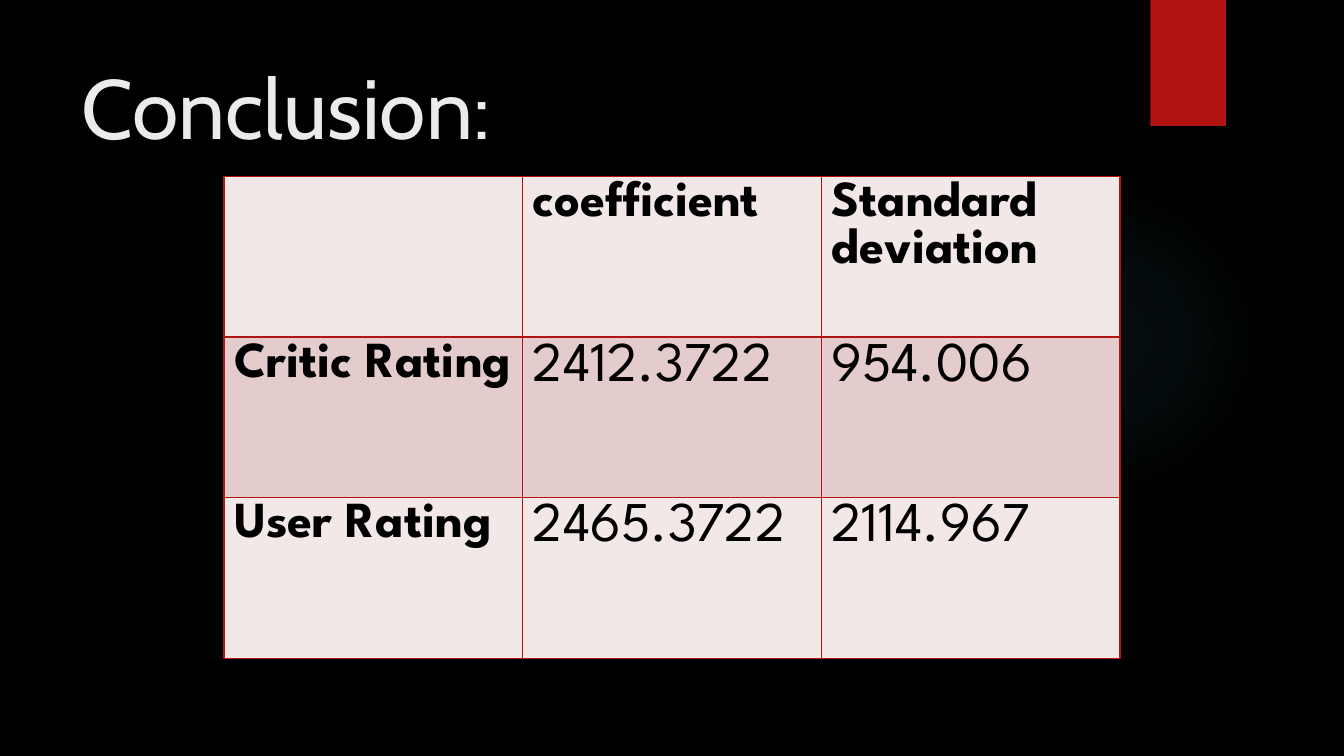
import lxml.etree
import pptx
import pptx.dml.color
import pptx.enum.shapes
import pptx.enum.text
import pptx.oxml
import pptx.oxml.ns
import pptx.util

WIDTH = 13.33
HEIGHT = 7.5
RED = "B01513"
GLOW = "50B9C1"
ROW_FILLS = ["F2E8E7", "E4CCCC"]
RATINGS = [
    ["", "coefficient", "Standard\ndeviation"],
    ["Critic Rating", "2412.3722", "954.006"],
    ["User Rating", "2465.3722", "2114.967"],
]


def color(value):
    return pptx.dml.color.RGBColor.from_string(value)


def box(left, top, width, height):
    return [pptx.util.Inches(length) for length in (left, top, width, height)]


def format_text(text_frame, font_name, size, value, bold=False):
    for paragraph in text_frame.paragraphs:
        for run in paragraph.runs:
            run.font.name = font_name
            run.font.size = pptx.util.Pt(size)
            run.font.bold = bold
            run.font.color.rgb = color(value)


def add_plain_shape(slide, kind, bounds):
    shape = slide.shapes.add_shape(kind, *box(*bounds))
    shape.shadow.inherit = False
    shape.line.fill.background()
    return shape


def add_glow(slide, bounds, value, stops):
    shape = add_plain_shape(slide, pptx.enum.shapes.MSO_SHAPE.OVAL, bounds)
    shape.fill.background()
    stop_xml = "".join(
        f'<a:gs pos="{position * 1000}"><a:srgbClr val="{value}">'
        f'<a:alpha val="{opacity * 1000}"/></a:srgbClr></a:gs>'
        for position, opacity in stops
    )
    gradient = pptx.oxml.parse_xml(
        f'<a:gradFill {pptx.oxml.ns.nsdecls("a")}><a:gsLst>{stop_xml}</a:gsLst>'
        '<a:path path="circle"><a:fillToRect l="50000" t="50000" r="50000" b="50000"/>'
        "</a:path></a:gradFill>"
    )
    properties = shape.element.spPr
    properties.replace(properties.find(pptx.oxml.ns.qn("a:noFill")), gradient)


def add_ribbon(slide, bounds, value):
    shape = add_plain_shape(slide, pptx.enum.shapes.MSO_SHAPE.RECTANGLE, bounds)
    shape.fill.solid()
    shape.fill.fore_color.rgb = color(value)


def add_title(slide, bounds, text):
    text_frame = slide.shapes.add_textbox(*box(*bounds)).text_frame
    text_frame.word_wrap = True
    text_frame.vertical_anchor = pptx.enum.text.MSO_ANCHOR.TOP
    text_frame.text = text
    format_text(text_frame, "Cabin", 60, "EBEBEB")


def set_borders(cell, value, width):
    properties = cell._tc.get_or_add_tcPr()
    for side in ("lnL", "lnR", "lnT", "lnB"):
        line = lxml.etree.SubElement(
            properties, pptx.oxml.ns.qn(f"a:{side}"), w=str(pptx.util.Pt(width))
        )
        fill = lxml.etree.SubElement(line, pptx.oxml.ns.qn("a:solidFill"))
        lxml.etree.SubElement(fill, pptx.oxml.ns.qn("a:srgbClr"), val=value)


def add_ratings_table(slide, bounds, rows):
    table = slide.shapes.add_table(len(rows), len(rows[0]), *box(*bounds)).table
    for row_index, row in enumerate(rows):
        for column_index, text in enumerate(row):
            cell = table.cell(row_index, column_index)
            is_label = row_index == 0 or column_index == 0
            cell.text_frame.text = text
            format_text(
                cell.text_frame, "League Spartan", 36 if is_label else 40, "000000", is_label
            )
            set_borders(cell, RED, 1)
            cell.fill.solid()
            cell.fill.fore_color.rgb = color(ROW_FILLS[row_index % 2])


def main():
    presentation = pptx.Presentation()
    presentation.slide_width = pptx.util.Inches(WIDTH)
    presentation.slide_height = pptx.util.Inches(HEIGHT)
    slide = presentation.slides.add_slide(presentation.slide_layouts[6])
    slide.background.fill.solid()
    slide.background.fill.fore_color.rgb = color("000000")

    add_glow(slide, (9.41, 1.83, 3.08, 3.08), GLOW, [(0, 7), (36, 6), (69, 0)])
    add_ribbon(slide, (11.41, 0, HEIGHT / 10, HEIGHT / 6), RED)
    add_title(slide, (0.71, 0.5, 10.29, 1.53), "Conclusion:")
    add_ratings_table(slide, (WIDTH / 6, 1.75, WIDTH * 2 / 3, 4.78), RATINGS)
    presentation.save("out.pptx")


if __name__ == "__main__":
    main()
